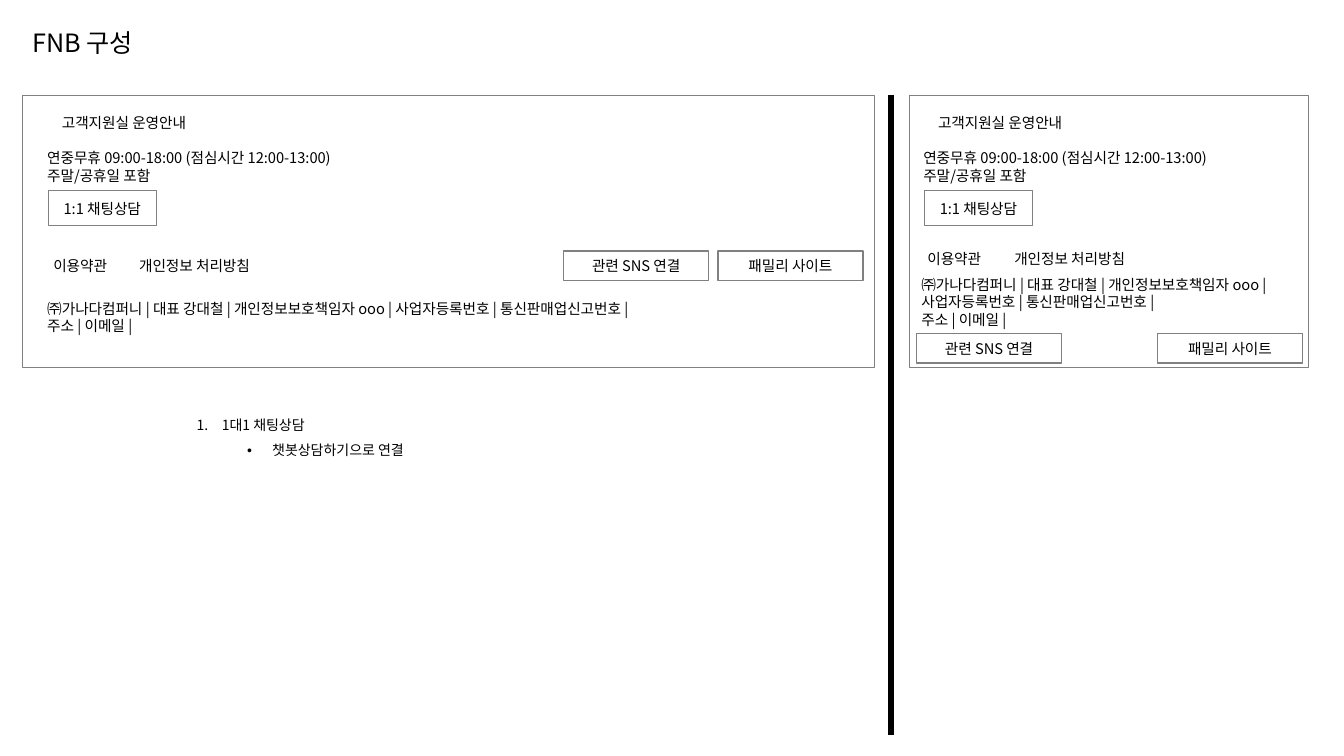
import pptx
import pptx.util
import pptx.dml.color
import pptx.enum.shapes
import pptx.enum.text
import pptx.oxml.ns
import lxml.etree

Inches = pptx.util.Inches
Pt = pptx.util.Pt
RGBColor = pptx.dml.color.RGBColor
Align = pptx.enum.text.PP_ALIGN
Anchor = pptx.enum.text.MSO_ANCHOR
qn = pptx.oxml.ns.qn

BLACK = RGBColor(0, 0, 0)
WHITE = RGBColor(255, 255, 255)
GRAY = RGBColor(128, 128, 128)
FONT = "Noto Sans CJK KR"


def write(para, text, size):
    span = para.add_run()
    span.text = text
    for name, value in {"size": Pt(size), "name": FONT, "bold": False}.items():
        setattr(span.font, name, value)
    span.font.color.rgb = BLACK
    lxml.etree.SubElement(span.font._element, qn("a:ea"), typeface=FONT)


def add_box(left, top, width, height, border, lines=(), align=Align.CENTER):
    box = page.shapes.add_shape(
        pptx.enum.shapes.MSO_SHAPE.RECTANGLE,
        Inches(left), Inches(top), Inches(width), Inches(height))
    box.shadow.inherit = False
    box.fill.solid()
    box.fill.fore_color.rgb = WHITE
    if border:
        box.line.color.rgb = GRAY
        box.line.width = Pt(border)
    else:
        box.line.fill.background()
    frame = box.text_frame
    frame.vertical_anchor = Anchor.MIDDLE
    for index, text in enumerate(lines):
        para = frame.add_paragraph() if index else frame.paragraphs[0]
        para.alignment = align
        write(para, text, 10.5)


deck = pptx.Presentation()
deck.slide_width = Inches(13.33)
deck.slide_height = Inches(7.5)
page = deck.slides.add_slide(deck.slide_layouts[1])

title = page.shapes.title
notes_list = page.placeholders[1]
places = [(title, (0.22, 0.22, 12.77, 0.4)), (notes_list, (1.95, 4.05, 3.32, 0.98))]
for holder, place in places:
    for name, value in zip(("left", "top", "width", "height"), place):
        setattr(holder, name, Inches(value))
    frame_format = {
        "word_wrap": True,
        "vertical_anchor": Anchor.TOP,
        "auto_size": pptx.enum.text.MSO_AUTO_SIZE.SHAPE_TO_FIT_TEXT,
    }
    for name, value in frame_format.items():
        setattr(holder.text_frame, name, value)

title_para = title.text_frame.paragraphs[0]
title_para.alignment = Align.LEFT
write(title_para, "FNB 구성", 18)

HOURS = ["연중무휴 09:00-18:00 (점심시간 12:00-13:00)", "주말/공휴일 포함"]
COMPANY = [
    "㈜가나다컴퍼니 | 대표 강대철 | 개인정보보호책임자 ooo | 사업자등록번호 | 통신판매업신고번호 |",
    "주소 | 이메일 |",
]
panels = [
    {"left": 0.22, "width": 8.45, "inner": 0.37, "terms": (0.39, 1.18, 2.49),
     "company": (0.37, 2.91, 8.19), "buttons": (5.59, 7.12, 2.49)},
    {"left": 9.02, "width": 3.96, "inner": 9.06, "terms": (9.06, 9.86, 2.42),
     "company": (9.04, 2.76, 3.92), "buttons": (9.09, 11.48, 3.31)},
]
for panel in panels:
    add_box(panel["left"], 0.94, panel["width"], 2.7, 0.25)
    inner = panel["inner"]
    add_box(inner, 1, 1.72, 0.43, 0, ["고객지원실 운영안내"])
    add_box(inner, 1.42, 3.73, 0.47, 0, HOURS, Align.LEFT)
    add_box(inner + 0.11, 1.89, 1.07, 0.35, 1, ["1:1 채팅상담"])
    terms_left, privacy_left, terms_top = panel["terms"]
    add_box(terms_left, terms_top, 0.81, 0.29, 0, ["이용약관"])
    add_box(privacy_left, terms_top, 1.5, 0.29, 0, ["개인정보 처리방침"])
    company_left, company_top, company_width = panel["company"]
    add_box(company_left, company_top, company_width, 0.47, 0, COMPANY, Align.LEFT)
    social_left, family_left, button_top = panel["buttons"]
    add_box(social_left, button_top, 1.44, 0.29, 1, ["관련 SNS 연결"])
    add_box(family_left, button_top, 1.44, 0.29, 1, ["패밀리 사이트"])

divider = page.shapes.add_connector(
    pptx.enum.shapes.MSO_CONNECTOR.STRAIGHT,
    Inches(8.84), Inches(0.94), Inches(8.84), Inches(7.29))
divider.line.color.rgb = BLACK
divider.line.width = Pt(4.5)
lxml.etree.SubElement(divider._element.spPr, qn("a:effectLst"))

frame = notes_list.text_frame
for side in ("left", "top", "right", "bottom"):
    setattr(frame, "margin_" + side, 0)
entries = [
    ("1대1 채팅상담", 0.25, "a:buAutoNum", {"type": "arabicPeriod"}),
    ("챗봇상담하기으로 연결", 0.75, "a:buChar", {"char": "•"}),
]
for level, (text, indent, tag, bullet) in enumerate(entries):
    para = frame.add_paragraph() if level else frame.paragraphs[0]
    para_format = {"level": level, "line_spacing": 1.5, "space_before": Pt(0),
                   "alignment": Align.LEFT}
    for name, value in para_format.items():
        setattr(para, name, value)
    properties = para._element.get_or_add_pPr()
    properties.set("marL", str(Inches(indent)))
    properties.set("indent", str(Inches(-0.25)))
    lxml.etree.SubElement(properties, qn(tag), bullet)
    write(para, text, 10)

deck.save("out.pptx")
